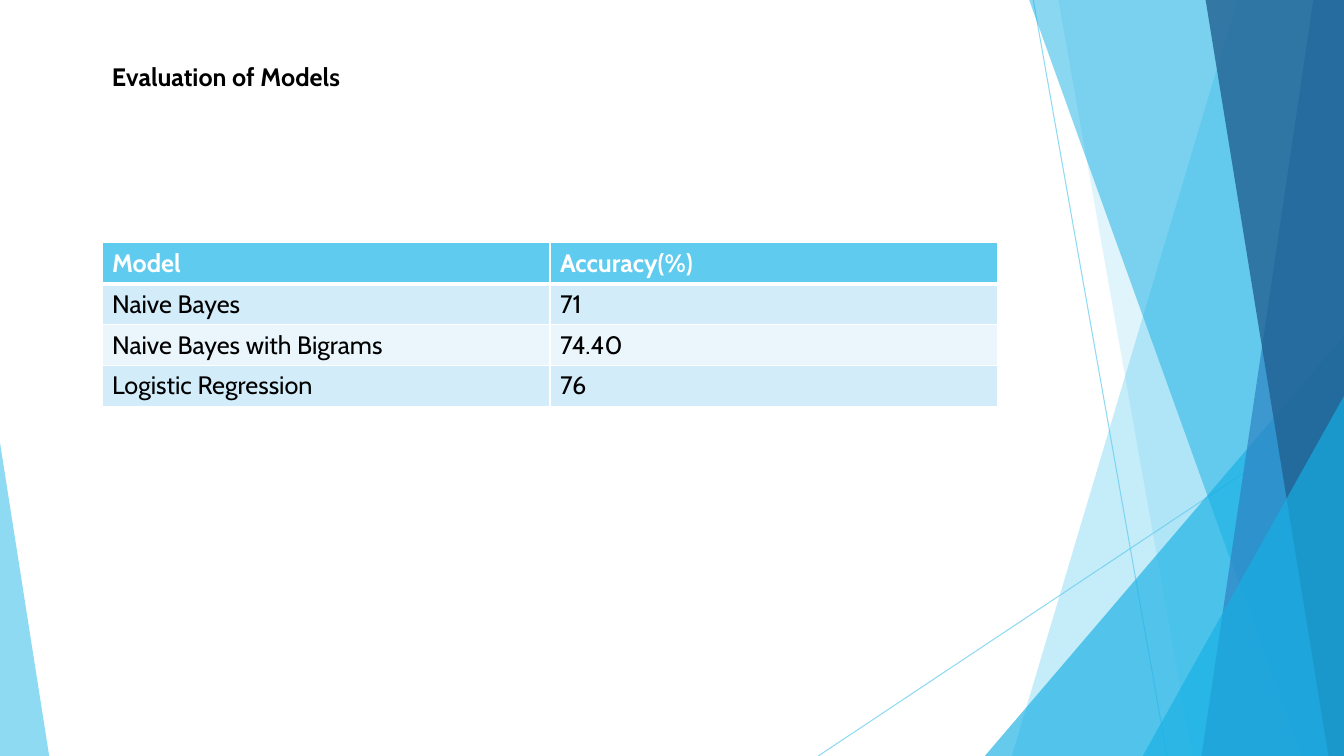
from lxml.etree import SubElement
from pptx import Presentation
from pptx.dml.color import RGBColor
from pptx.enum.shapes import MSO_CONNECTOR, MSO_SHAPE
from pptx.oxml.ns import qn
from pptx.util import Cm, Pt

WIDE, HIGH = 33.87, 19.05
SKY = RGBColor(0x5F, 0xCB, 0xEF)
CYAN = RGBColor(0x17, 0xB0, 0xE4)
BLUE = RGBColor(0x2E, 0x83, 0xC3)
NAVY = RGBColor(0x22, 0x62, 0x92)
PALE = RGBColor(0xD2, 0xEC, 0xF9)
MIST = RGBColor(0xEA, 0xF6, 0xFC)
WHITE = RGBColor(0xFF, 0xFF, 0xFF)
BLACK = RGBColor(0, 0, 0)


class Deck:
    """Holds the text style and the current slide."""
    font, size = "Cabin", Pt(18)

    def __init__(self):
        self.file = Presentation()
        self.file.slide_width, self.file.slide_height = Cm(WIDE), Cm(HIGH)
        self.slide = self.file.slides.add_slide(self.file.slide_layouts[6])
        self.shapes = self.slide.shapes

    def fade(self, fill, color, alpha):
        fill.solid()
        fill.fore_color.rgb = color
        tone = fill._xPr.find(qn("a:solidFill"))[0]
        SubElement(tone, qn("a:alpha")).set("val", str(alpha * 1000))

    def paint(self, shape, color, alpha):
        shape.shadow.inherit = False
        shape.line.fill.background()
        self.fade(shape.fill, color, alpha)

    def line(self, x1, y1, x2, y2):
        line = self.shapes.add_connector(
            MSO_CONNECTOR.STRAIGHT, Cm(x1), Cm(y1), Cm(x2), Cm(y2))
        line.line.width = Pt(0.75)
        self.fade(line.line.fill, SKY, 70)
        SubElement(line._element.spPr, qn("a:effectLst"))

    def band(self, top, foot, color, alpha):
        """Fill from a slanted left edge to the right side of the slide."""
        pen = self.shapes.build_freeform(Cm(top), Cm(-0.02))
        pen.add_line_segments([(Cm(x), Cm(y)) for x, y in (
            (WIDE, -0.02), (WIDE, HIGH), (foot, HIGH))])
        self.paint(pen.convert_to_shape(), color, alpha)

    def wedge(self, left, top, width, peak, color, alpha):
        """Stand a right triangle on the bottom of the slide."""
        shape = self.shapes.add_shape(
            MSO_SHAPE.ISOSCELES_TRIANGLE,
            Cm(left), Cm(top), Cm(width), Cm(HIGH - top))
        shape.adjustments[0] = peak
        self.paint(shape, color, alpha)

    def label(self, frame, text, color, bold):
        para = frame.paragraphs[0]
        para.text = text
        font = para.font
        font.name, font.size, font.bold = self.font, self.size, bold
        font.color.rgb = color

    def text(self, left, top, width, height, text):
        box = self.shapes.add_textbox(
            Cm(left), Cm(top), Cm(width), Cm(height))
        box.text_frame.word_wrap = True
        self.label(box.text_frame, text, BLACK, True)

    def edge(self, cell, side, width):
        props = cell._tc.get_or_add_tcPr()
        line = SubElement(props, qn("a:ln" + side), w=str(Pt(width)))
        fill = SubElement(line, qn("a:solidFill"))
        SubElement(fill, qn("a:srgbClr"), val=str(WHITE))

    def table(self, left, top, width, height, rows):
        grid = self.shapes.add_table(
            len(rows), len(rows[0]),
            Cm(left), Cm(top), Cm(width), Cm(height)).table
        for i, row in enumerate(rows):
            head = i == 0
            tint = SKY if head else PALE if i % 2 else MIST
            for j, text in enumerate(row):
                cell = grid.cell(i, j)
                # The rule under the header is thicker
                for side, wide in (("L", 1), ("R", 1),
                                   ("T", 3 if i == 1 else 1),
                                   ("B", 3 if head else 1)):
                    self.edge(cell, side, wide)
                cell.fill.solid()
                cell.fill.fore_color.rgb = tint
                self.label(cell.text_frame, text,
                           WHITE if head else BLACK, head)


def main():
    deck = Deck()

    # Faceted backdrop, back to front
    deck.line(26.04, 0, 29.41, HIGH)
    deck.line(WIDE, 10.24, 20.62, HIGH)
    deck.band(31.19, 25.5, SKY, 36)
    deck.band(26.67, 30.05, SKY, 20)
    deck.wedge(24.82, 8.46, 9.05, 1, CYAN, 66)
    deck.band(25.93, 32.79, CYAN, 50)
    deck.band(33.1, 30.28, BLUE, 70)
    deck.band(30.38, 33.48, NAVY, 80)
    deck.wedge(28.8, 9.98, 5.07, 1, CYAN, 66)
    deck.wedge(0, 11.15, 1.24, 0, SKY, 70)

    # Heading
    deck.text(2.57, 1.42, 22.12, 1.02, "Evaluation of Models")

    # Model scores
    deck.table(2.57, 6.12, 22.58, 4.12, [
        ("Model", "Accuracy(%)"),
        ("Naive Bayes", "71"),
        ("Naive Bayes with Bigrams", "74.40"),
        ("Logistic Regression", "76"),
    ])

    deck.file.save("out.pptx")


if __name__ == "__main__":
    main()
